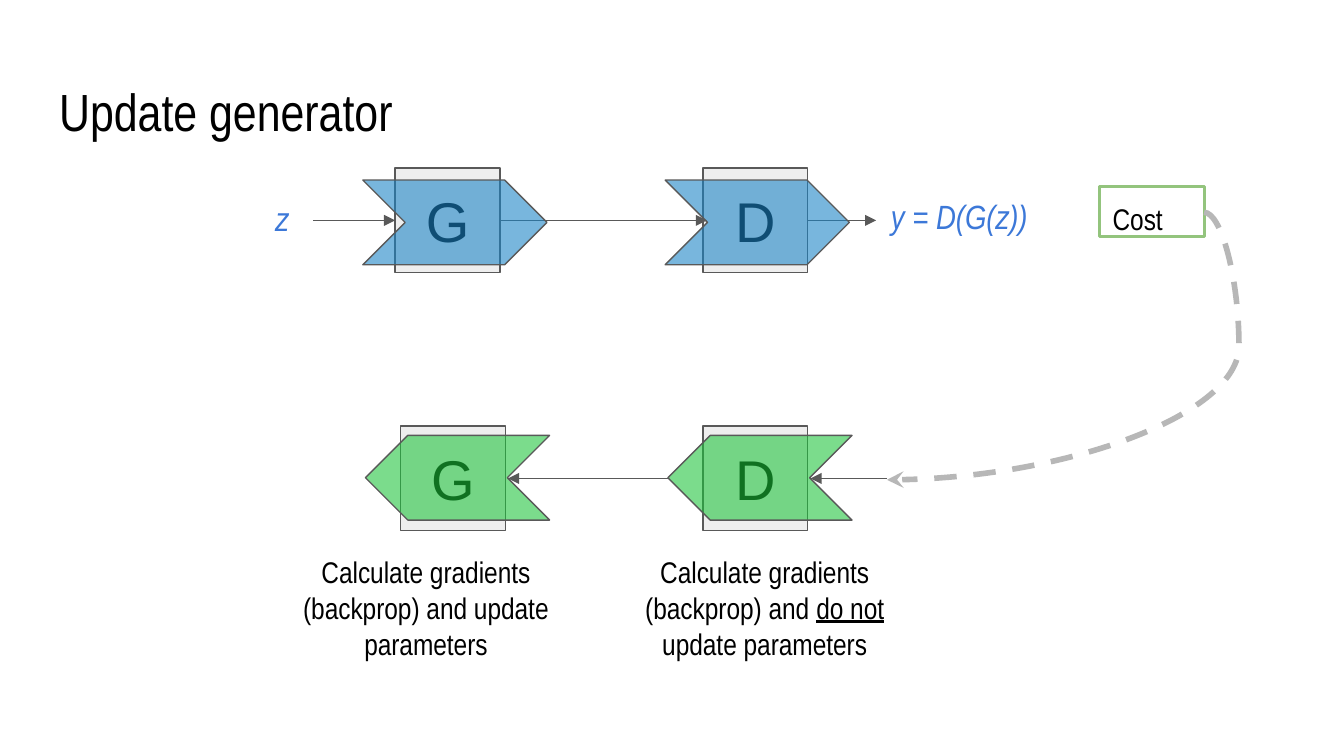
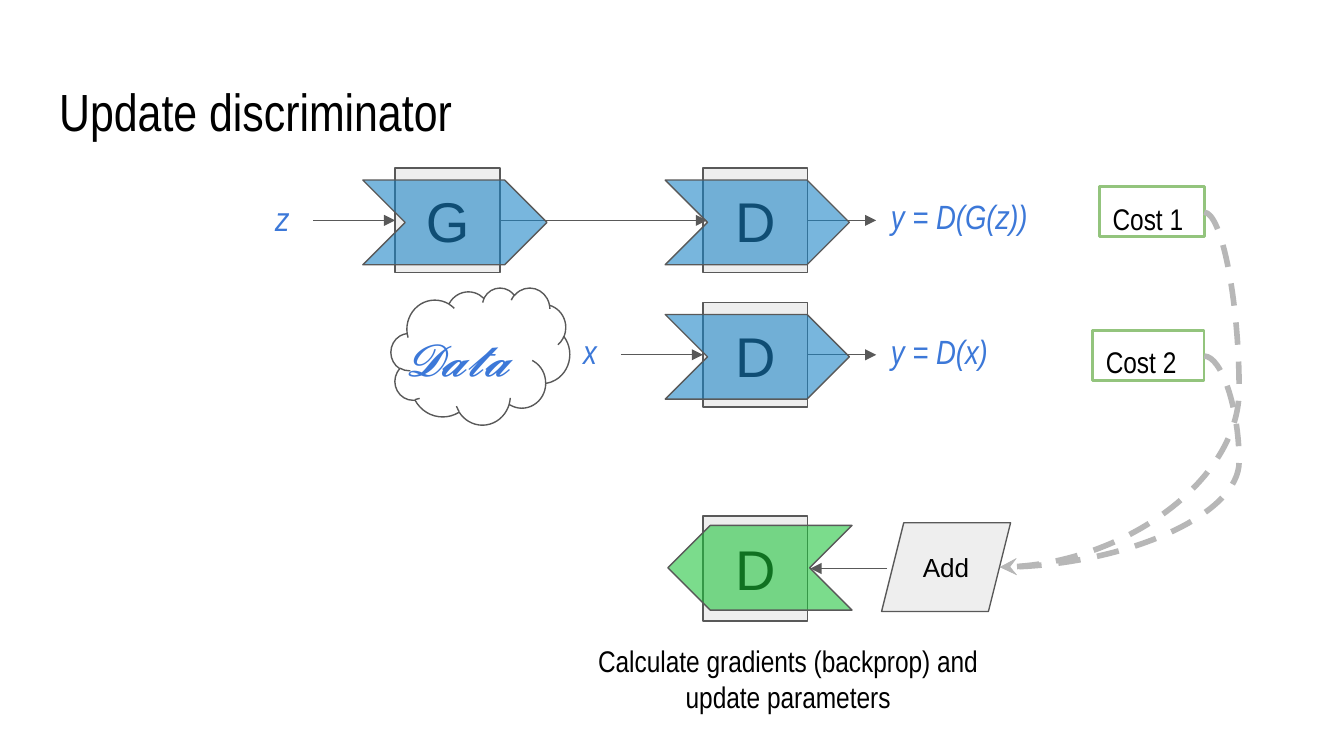
from lxml import etree
from pptx import Presentation
from pptx.dml.color import RGBColor
from pptx.enum.dml import MSO_LINE
from pptx.enum.shapes import MSO_CONNECTOR, MSO_SHAPE
from pptx.enum.text import MSO_ANCHOR, MSO_AUTO_SIZE, PP_ALIGN
from pptx.oxml.ns import qn
from pptx.util import Emu, Pt

EMU_PER_PX = 9144
LEFT, CENTER = PP_ALIGN.LEFT, PP_ALIGN.CENTER
TOP, MIDDLE = MSO_ANCHOR.TOP, MSO_ANCHOR.MIDDLE
RECTANGLE, CHEVRON = MSO_SHAPE.RECTANGLE, MSO_SHAPE.CHEVRON
CLOUD, PARALLELOGRAM = MSO_SHAPE.CLOUD, MSO_SHAPE.PARALLELOGRAM
STRAIGHT, CURVE = MSO_CONNECTOR.STRAIGHT, MSO_CONNECTOR.CURVE
DASH = MSO_LINE.DASH
NO_AUTOFIT = MSO_AUTO_SIZE.NONE
LEFT_SIDE, RIGHT_SIDE = 1, 3

BLACK, WHITE, GRAY, PALE = "000000", "FFFFFF", "595959", "EEEEEE"
FORMULA_BLUE, COST_GREEN, FEEDBACK_GRAY = "3C78D8", "93C47D", "B7B7B7"
FORWARD_BLUE, BACKWARD_GREEN = "1A84C6", "1CC43A"
NARROW, SANS = "Arial Narrow", "Arial"

SLIDE_WIDTH = 1000
BOX = 78
GENERATOR_X, DISCRIMINATOR_X = 294, 523
FORWARD_TOP, DATA_TOP = 125, 225
COST_RIGHT, FEEDBACK_X = 896, 922
BACKPROP = "Calculate gradients (backprop) and "


def px(value):
    return Emu(round(value * EMU_PER_PX))


def color(hex_code):
    return RGBColor.from_string(hex_code)


def write(shape, text, size=16, font=NARROW, ink=BLACK, italic=None,
          align=LEFT, anchor=TOP, underlined=None):
    frame = shape.text_frame
    frame.word_wrap = True
    frame.auto_size = NO_AUTOFIT
    frame.vertical_anchor = anchor
    frame.margin_left = frame.margin_right = px(10)
    frame.margin_top = frame.margin_bottom = px(10)
    paragraph = frame.paragraphs[0]
    paragraph.alignment = align
    before, marked, after = text.partition(underlined) if underlined else (text, "", "")
    for part in filter(None, (before, marked, after)):
        run = paragraph.add_run()
        run.text = part
        run.font.size = Pt(size)
        run.font.name = font
        run.font.italic = italic
        run.font.color.rgb = color(ink)
        if part == marked:
            run.font.underline = True


def add_label(slide, text, left, top, width, **text_format):
    label = slide.shapes.add_textbox(px(left), px(top), px(width), px(48))
    write(label, text, **text_format)


def add_formula(slide, text, left, top, width):
    add_label(slide, text, left, top, width, size=18, ink=FORMULA_BLUE, italic=True)


def add_outline(slide, preset, left, top, width, height, fill=None,
                line=GRAY, weight=0.75, opacity=None):
    shape = slide.shapes.add_shape(preset, px(left), px(top), px(width), px(height))
    shape.shadow.inherit = False
    shape.line.color.rgb = color(line)
    shape.line.width = Pt(weight)
    if fill is None:
        shape.fill.background()
    else:
        shape.fill.solid()
        shape.fill.fore_color.rgb = color(fill)
    if opacity is not None:
        tint = shape.fill._xPr.find(".//" + qn("a:srgbClr"))
        etree.SubElement(tint, qn("a:alpha"), val=str(opacity * 1000))
    return shape


def add_network(slide, letter, left, top):
    network = add_outline(slide, RECTANGLE, left, top, BOX, BOX, fill=PALE)
    write(network, letter, size=30, font=SANS, align=CENTER, anchor=MIDDLE)
    return network


def add_forward_chevron(slide, left, box_top):
    add_outline(slide, CHEVRON, left, box_top + 9, 137, 63, fill=FORWARD_BLUE, opacity=59)


def add_backward_chevron(slide, left, box_top):
    chevron = add_outline(slide, CHEVRON, left, box_top + 7, 137, 63,
                          fill=BACKWARD_GREEN, opacity=58)
    chevron._element.spPr.find(qn("a:xfrm")).set("flipH", "1")


def add_link(slide, kind, start, end, line=GRAY, weight=0.75, dash=None, head="triangle"):
    link = slide.shapes.add_connector(kind, *map(px, start + end))
    link.line.color.rgb = color(line)
    link.line.width = Pt(weight)
    if dash is not None:
        link.line.dash_style = dash
    properties = link._element.spPr
    etree.SubElement(properties.find(qn("a:ln")), qn("a:tailEnd"), type=head)
    etree.SubElement(properties, qn("a:effectLst"))
    return link


def add_arrow(slide, start_x, end_x, box_top, source=None, target=None):
    y = box_top + BOX // 2
    arrow = add_link(slide, STRAIGHT, (start_x, y), (end_x, y))
    if source is not None:
        arrow.begin_connect(source, RIGHT_SIDE)
    if target is not None:
        arrow.end_connect(target, LEFT_SIDE)


def add_feedback(slide, start_y, end):
    feedback = add_link(slide, CURVE, (COST_RIGHT, start_y), end, line=FEEDBACK_GRAY,
                        weight=3, dash=DASH, head="stealth")
    bulge = (FEEDBACK_X - COST_RIGHT) / (COST_RIGHT - end[0])
    adjustments = feedback._element.spPr.find(qn("a:prstGeom")).get_or_add_avLst()
    etree.SubElement(adjustments, qn("a:gd"), name="adj1", fmla=f"val {round(-bulge * 100000)}")


def add_cost(slide, text, left, top):
    cost = add_outline(slide, RECTANGLE, left, top, COST_RIGHT - left, 37,
                       line=COST_GREEN, weight=1.5)
    write(cost, text)


def add_forward_discriminator(slide, top, formula):
    discriminator = add_network(slide, "D", DISCRIMINATOR_X, top)
    add_arrow(slide, DISCRIMINATOR_X + BOX, 652, top, source=discriminator)
    add_formula(slide, formula, 653, top + 11, 175)
    add_forward_chevron(slide, 495, top)
    return discriminator


def add_generator_pass(slide, cost_text):
    add_forward_discriminator(slide, FORWARD_TOP, "y = D(G(z))")
    generator = add_network(slide, "G", GENERATOR_X, FORWARD_TOP)
    add_formula(slide, "z", 195, FORWARD_TOP + 12, 32)
    add_arrow(slide, 233, GENERATOR_X, FORWARD_TOP, target=generator)
    add_arrow(slide, GENERATOR_X + BOX, 526, FORWARD_TOP, source=generator)
    add_forward_chevron(slide, 270, FORWARD_TOP)
    add_cost(slide, cost_text, 818, 139)


def add_backward_discriminator(slide, top):
    add_network(slide, "D", DISCRIMINATOR_X, top)
    add_backward_chevron(slide, 497, top)
    add_arrow(slide, 660, 603, top)


def add_titled_slide(deck, text):
    slide = deck.slides.add_slide(deck.slide_layouts[5])
    slide.background.fill.solid()
    slide.background.fill.fore_color.rgb = color(WHITE)
    title = slide.shapes.title
    title.left, title.top, title.width, title.height = map(px, (34, 49, 932, 63))
    write(title, text, size=28)
    return slide


def build_generator_slide(deck):
    slide = add_titled_slide(deck, "Update generator")
    backward_top = 317
    add_generator_pass(slide, "Cost")
    add_feedback(slide, 158, (660, 357))
    add_backward_discriminator(slide, backward_top)
    add_network(slide, "G", 298, backward_top)
    add_backward_chevron(slide, 272, backward_top)
    add_arrow(slide, 497, 378, backward_top)
    add_label(slide, BACKPROP + "do not update parameters", 445, 402, 248,
              align=CENTER, underlined="do not")
    add_label(slide, BACKPROP + "update parameters", 210, 402, 214, align=CENTER)


def build_discriminator_slide(deck):
    slide = add_titled_slide(deck, "Update discriminator")
    backward_top = 384
    add_generator_pass(slide, "Cost 1")
    discriminator = add_forward_discriminator(slide, DATA_TOP, "y = D(x)")
    add_arrow(slide, 462, DISCRIMINATOR_X, DATA_TOP, target=discriminator)
    add_formula(slide, "x", 424, DATA_TOP + 11, 50)
    add_cost(slide, "Cost 2", 813, 246)
    for cost_y in (158, 265):
        add_feedback(slide, cost_y, (744, 422))
    add_backward_discriminator(slide, backward_top)
    add_label(slide, BACKPROP + "update parameters", 435, 468, 303, align=CENTER)
    add_outline(slide, CLOUD, 291, 214, 133, 102, fill=WHITE)
    add_label(slide, "𝓓𝓪𝓽𝓪", 292, 237, 133, size=24, font=SANS,
              ink=FORMULA_BLUE, italic=True)
    adder = add_outline(slide, PARALLELOGRAM, 656, 389, 96, 66, fill=PALE)
    write(adder, "Add", size=14, font=SANS, align=CENTER, anchor=MIDDLE)


def main():
    deck = Presentation()
    deck.slide_width = px(SLIDE_WIDTH)
    deck.slide_height = px(SLIDE_WIDTH * 9 / 16)
    build_generator_slide(deck)
    build_discriminator_slide(deck)
    deck.save("out.pptx")


if __name__ == "__main__":
    main()
